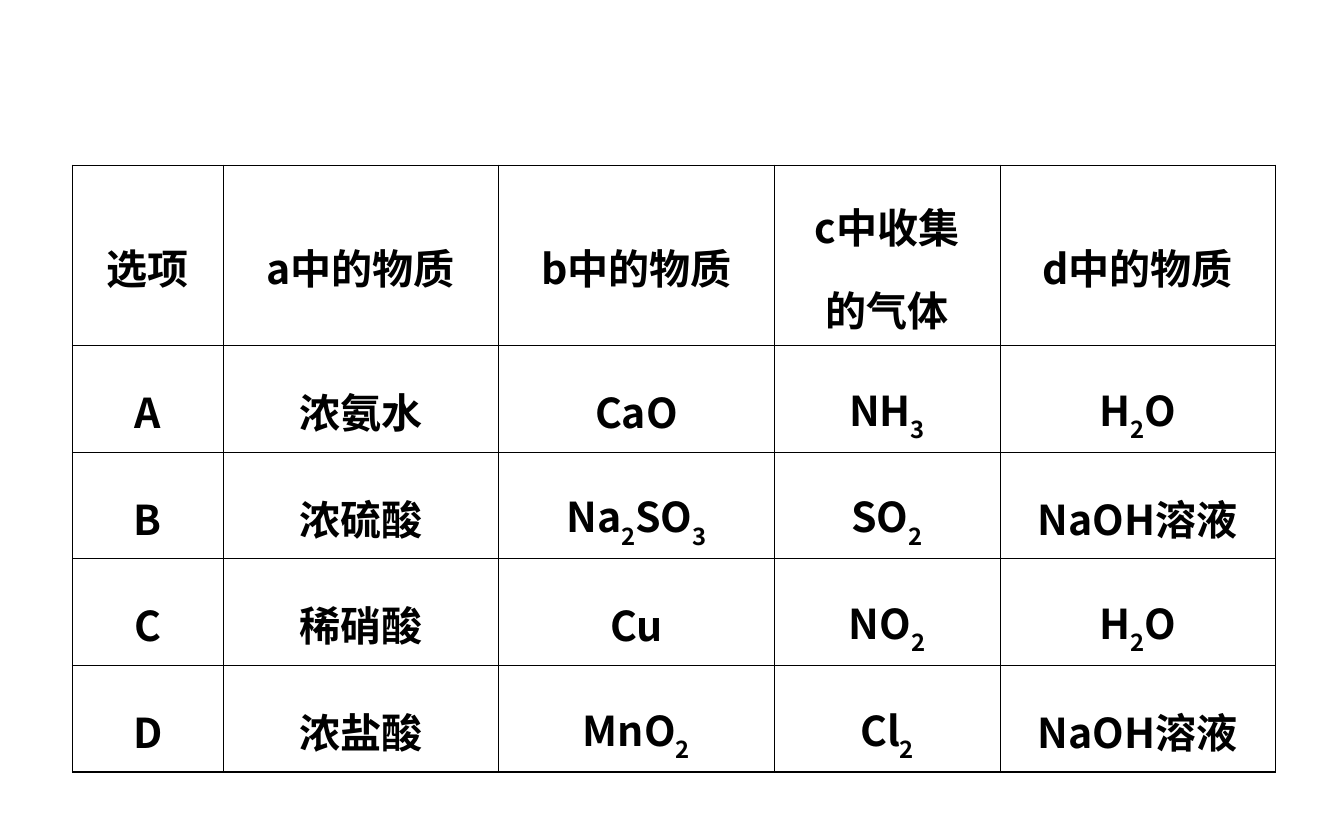
"""Build a slide with a table of gas preparation options."""
from itertools import groupby

from lxml import etree
from pptx import Presentation
from pptx import util as u
from pptx.dml import color
from pptx.enum import text as t
from pptx.oxml import ns

PX = u.Inches(1) // 100
FONT = "Noto Sans CJK SC"
BLACK = "000000"
THIN, THICK = 0.45, 0.96
COLUMNS = [112, 205, 205, 168, 205]
ROWS = [134, 73, 73, 73, 73]
OPTIONS = [
    ["选项", "a中的物质", "b中的物质", "c中收集\n的气体", "d中的物质"],
    ["A", "浓氨水", "CaO", "NH3", "H2O"],
    ["B", "浓硫酸", "Na2SO3", "SO2", "NaOH溶液"],
    ["C", "稀硝酸", "Cu", "NO2", "H2O"],
    ["D", "浓盐酸", "MnO2", "Cl2", "NaOH溶液"],
]


def rgb(value):
    """Return the colour for a hex string."""
    return color.RGBColor.from_string(value)


def write(frame, content, size=22, bold=True, ink=BLACK, font=FONT, spacing=1.4):
    """Write centred lines, with the digits of formulas as subscripts."""
    for index, line in enumerate(content.split("\n")):
        paragraph = frame.add_paragraph() if index else frame.paragraphs[0]
        paragraph.alignment = t.PP_ALIGN.CENTER
        paragraph.line_spacing = spacing
        for subscript, letters in groupby(line, str.isdigit):
            run = paragraph.add_run()
            run.text = "".join(letters)
            run.font.size, run.font.bold = u.Pt(size), bold
            run.font.name = font
            run.font.color.rgb = rgb(ink)
            properties = run.font._element
            etree.SubElement(properties, ns.qn("a:ea"), typeface=font)
            if subscript:
                properties.set("baseline", "-30000")


def draw_borders(cell, widths, ink=BLACK):
    """Draw the left, right, top and bottom borders of a cell."""
    properties = cell._tc.get_or_add_tcPr()
    for side, width in zip("LRTB", widths):
        line = etree.SubElement(properties, ns.qn(f"a:ln{side}"), w=str(u.Pt(width)))
        fill = etree.SubElement(line, ns.qn("a:solidFill"))
        etree.SubElement(fill, ns.qn("a:srgbClr"), val=ink)


def add_options_table(slide, left, top, width, height):
    """Place the options table in the given box."""
    box = [length * PX for length in (left, top, width, height)]
    table = slide.shapes.add_table(len(ROWS), len(COLUMNS), *box).table
    table.first_row = table.horz_banding = False
    for column, column_width in zip(table.columns, COLUMNS):
        column.width = column_width * PX
    for row, row_height in zip(table.rows, ROWS):
        row.height = row_height * PX
    last_row, last_column = len(ROWS) - 1, len(COLUMNS) - 1
    for r, option in enumerate(OPTIONS):
        for c, content in enumerate(option):
            cell = table.cell(r, c)
            outer = (c == 0, c == last_column, r == 0, r == last_row)
            draw_borders(cell, [THICK if edge else THIN for edge in outer])
            cell.fill.background()
            cell.vertical_anchor = t.MSO_ANCHOR.MIDDLE
            cell.margin_left = cell.margin_right = 10 * PX
            cell.margin_top = cell.margin_bottom = 5 * PX
            write(cell.text_frame, content)


def main():
    """Build and save the presentation."""
    presentation = Presentation()
    presentation.slide_width, presentation.slide_height = 1000 * PX, 625 * PX
    slide = presentation.slides.add_slide(presentation.slide_layouts[6])
    add_options_table(slide, 54, 123, sum(COLUMNS), sum(ROWS))
    presentation.save("out.pptx")


if __name__ == "__main__":
    main()
